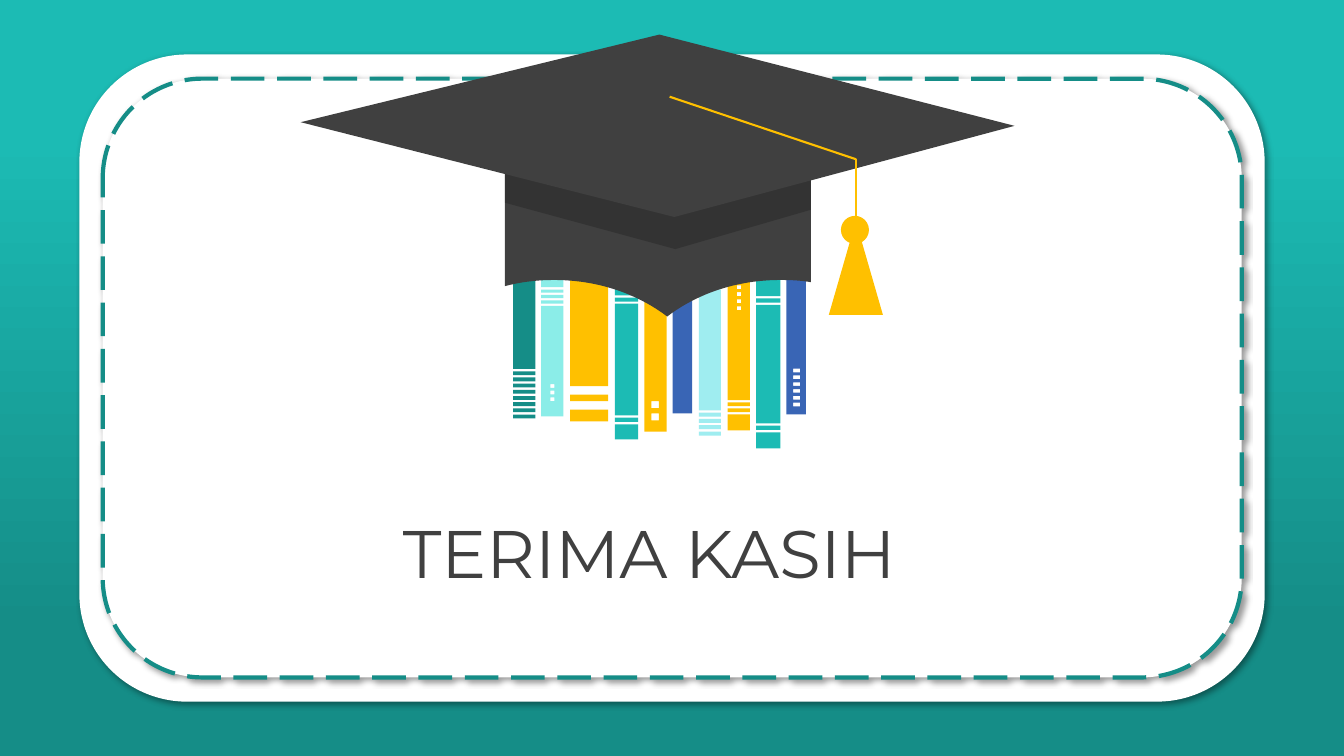
import lxml.etree
import pptx
import pptx.dml.color
import pptx.enum.dml
import pptx.enum.shapes
import pptx.oxml.ns
import pptx.util

Pt = pptx.util.Pt
RGB = pptx.dml.color.RGBColor
KIND = pptx.enum.shapes.MSO_SHAPE
qn = pptx.oxml.ns.qn

WHITE = RGB(0xFF, 0xFF, 0xFF)
BLACK = RGB(0x00, 0x00, 0x00)
GREY = RGB(0x40, 0x40, 0x40)
TEAL = RGB(0x1C, 0xBB, 0xB4)
DEEP = RGB(0x15, 0x8D, 0x87)
MINT = RGB(0x8B, 0xED, 0xE8)
PALE = RGB(0x9F, 0xED, 0xF0)
GOLD = RGB(0xFF, 0xC0, 0x00)
BLUE = RGB(0x39, 0x65, 0xB5)

BOOK_TOP = 197.3
# colour, left, width, bottom, gaps (top, height, pitch, count), dots (left, width, top, height, pitch, count)
BOOKS = [
    (GOLD, 519.8, 15.9, 307.4, [(285.8, 1.6, 4.3, 3)], (526.4, 3, 203.8, 2.8, 5, 4)),
    (PALE, 499.2, 15.7, 311.2, [(200.9, 1.5, 4.4, 2), (293.1, 1.7, 4.5, 4)], None),
    (DEEP, 366.5, 15.9, 298.8, [(263.5, 1.7, 4.42, 8)], None),
    (GOLD, 460.2, 15.9, 308.3, [(203.8, 4.3, 0, 1)], (465.2, 5.4, 286.6, 5, 8.7, 2)),
    (BLUE, 480.5, 14, 295.3, [(200.2, 1.5, 3.9, 4)], None),
    (TEAL, 439.2, 16.7, 313.9, [(211, 1.6, 4.4, 2), (296.7, 1.7, 4.7, 2)], None),
    (TEAL, 540.1, 17.4, 320.3, [(211.5, 1.7, 4.6, 2), (302.4, 1.7, 4.7, 2)], None),
    (BLUE, 561.7, 14, 296, [], (566.5, 5, 263.4, 2.6, 4.85, 6)),
    (MINT, 386.6, 15.9, 297.4, [(205.2, 1.6, 3.9, 4)], (393.1, 2.9, 274.4, 2.7, 4.7, 3)),
    (GOLD, 407.3, 27, 301, [(275.8, 6.2, 10.7, 2)], None),
]


def apply(target, style):
    for name, value in style.items():
        setattr(target, name, value)


def paint(shape, colour):
    shape.shadow.inherit = False
    shape.fill.solid()
    shape.fill.fore_color.rgb = colour
    shape.line.fill.background()
    return shape


def add_form(shapes, kind, box, colour):
    return paint(shapes.add_shape(kind, *map(Pt, box)), colour)


def add_outline(shapes, loops, colour):
    loops = [[(Pt(x), Pt(y)) for x, y in loop] for loop in loops]
    pen = shapes.build_freeform(*loops[0][0], scale=1.0)
    pen.add_line_segments(loops[0][1:], close=True)
    for loop in loops[1:]:
        pen.move_to(*loop[0])
        pen.add_line_segments(loop[1:], close=True)
    return paint(pen.convert_to_shape(), colour)


def block(left, top, width, height):
    right, base = left + width, top + height
    return [(left, top), (right, top), (right, base), (left, base)]


def curve(a, b, c, d, steps=24):
    def spot(t):
        u = 1 - t
        return tuple(u**3 * p + 3 * u * u * t * q + 3 * u * t * t * r + t**3 * s
                     for p, q, r, s in zip(a, b, c, d))
    return [spot(n / steps) for n in range(1, steps + 1)]


def add_book(shapes, colour, left, width, base, gaps, dots):
    loops, top = [], BOOK_TOP
    for first, height, pitch, count in gaps:
        for n in range(count):
            edge = first + n * pitch
            loops.append(block(left, top, width, edge - top))
            top = edge + height
    loops.append(block(left, top, width, base - top))
    if dots:
        x, wide, first, height, pitch, count = dots
        loops += [block(x, first + n * pitch, wide, height)[::-1] for n in range(count)]
    add_outline(shapes, loops, colour)


def add_cord(shapes, start, end):
    cord = shapes.add_connector(pptx.enum.shapes.MSO_CONNECTOR.STRAIGHT,
                                *map(Pt, start + end))
    cord.line.color.rgb = GOLD
    cord.line.width = Pt(1.5)
    lxml.etree.SubElement(cord._element.spPr, qn("a:effectLst"))


def add_alpha(colour, share):
    lxml.etree.SubElement(colour, qn("a:alpha"), val=str(share * 1000))


def add_card(shapes, box):
    card = add_form(shapes, KIND.ROUNDED_RECTANGLE, box, WHITE)
    glow = lxml.etree.SubElement(
        card._element.spPr.find(qn("a:effectLst")), qn("a:outerShdw"),
        blurRad=str(Pt(4)), dist=str(Pt(3)), dir=str(45 * 60000),
        algn="tl", rotWithShape="0")
    add_alpha(lxml.etree.SubElement(glow, qn("a:srgbClr"), val=str(BLACK)), 40)
    return card


def add_title(shapes, box, text):
    title = shapes.add_textbox(*map(Pt, box))
    title.fill.solid()
    title.fill.fore_color.rgb = WHITE
    title.text_frame.word_wrap = True
    run = title.text_frame.paragraphs[0].add_run()
    run.text = text
    apply(run.font, {"name": "Montserrat", "size": Pt(48)})
    run.font.color.rgb = GREY


def add_cap(shapes):
    left, right, top, mid = 360.7, 579.3, 77.8, (476.6, 226.1)
    crown = [(left, top), (right, top), (right, 201.6)]
    crown += curve(crown[-1], (572, 200.3), (565, 200), (557.3, 200))
    crown += curve(crown[-1], (526.5, 200), (498, 209.7), mid)
    crown += curve(mid, (455, 209.7), (426.7, 200), (396, 200))
    crown += curve(crown[-1], (383.5, 200), (372, 201.4), (left, 204.4))
    add_outline(shapes, [crown], GREY)
    shade = add_outline(shapes, [[(left, 106.6), (right, 106.6), (right, 149.8),
                                  (482.4, 177.9), (left, 144.8)]], BLACK)
    add_alpha(shade._element.spPr.find(qn("a:solidFill"))[0], 20)
    add_outline(shapes, [[(471, 24.7), (214.8, 87.3), (481.7, 155), (724.7, 89.9)]], GREY)
    bend = (611.5, 113.8)
    add_cord(shapes, (478.3, 69.1), bend)
    add_cord(shapes, bend, (611.5, 187.9))
    add_form(shapes, KIND.ISOSCELES_TRIANGLE, (592, 158, 38.7, 67), GOLD)
    add_form(shapes, KIND.OVAL, (600.7, 154.2, 20, 20), GOLD)


def main():
    deck = pptx.Presentation()
    apply(deck, {"slide_width": Pt(960), "slide_height": Pt(540)})
    slide = deck.slides.add_slide(deck.slide_layouts[6])
    back = slide.background.fill
    back.gradient()
    back.gradient_angle = 270
    for stop, place, colour in zip(back.gradient_stops, (0.18, 0.83), (TEAL, DEEP)):
        stop.position = place
        stop.color.rgb = colour

    add_card(slide.shapes, (56.7, 38.9, 846.7, 462.3))
    inner = add_card(slide.shapes, (73.4, 56.2, 813.6, 427.7))
    inner.line.color.rgb = DEEP
    apply(inner.line, {"width": Pt(3), "dash_style": pptx.enum.dml.MSO_LINE.LONG_DASH})

    group = slide.shapes.add_group_shape().shapes
    for book in BOOKS:
        add_book(group, *book)
    add_cap(group)
    add_title(slide.shapes, (280.8, 361.4, 436.3, 65.5), "TERIMA KASIH")
    deck.save("out.pptx")


if __name__ == "__main__":
    main()
